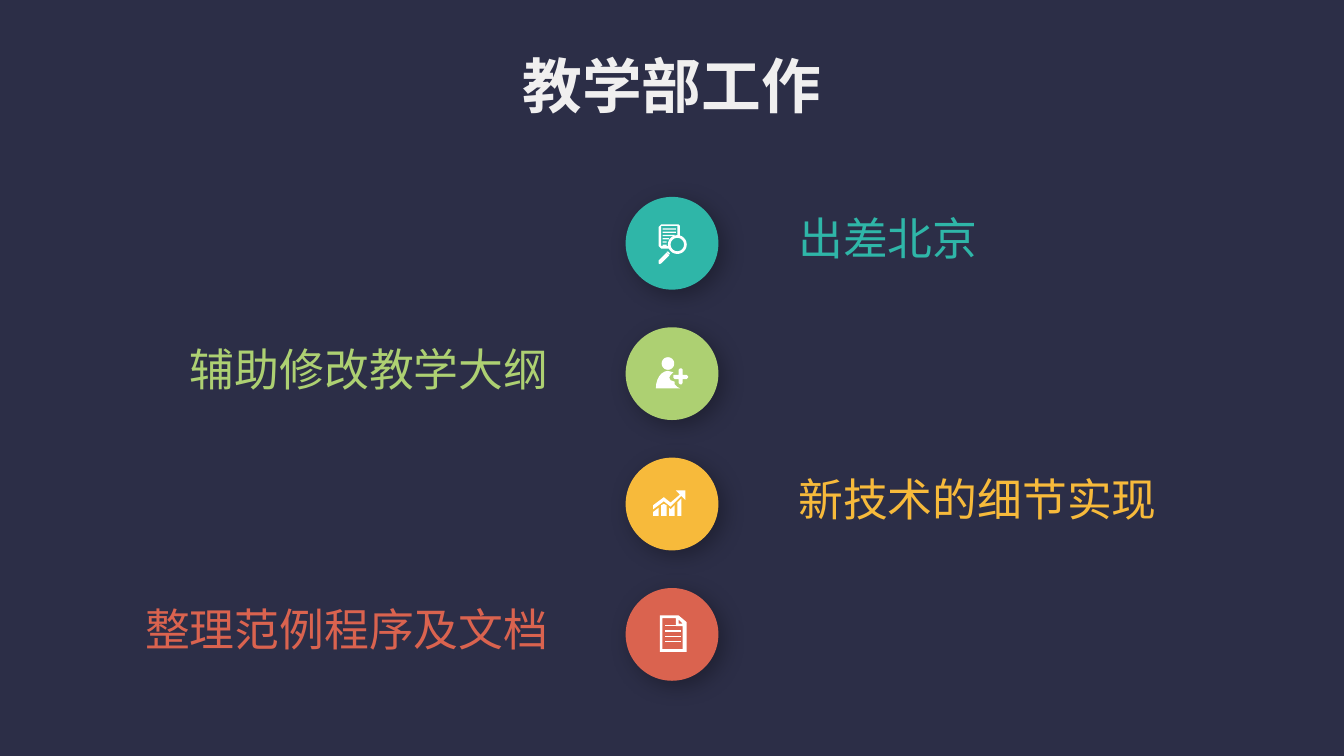
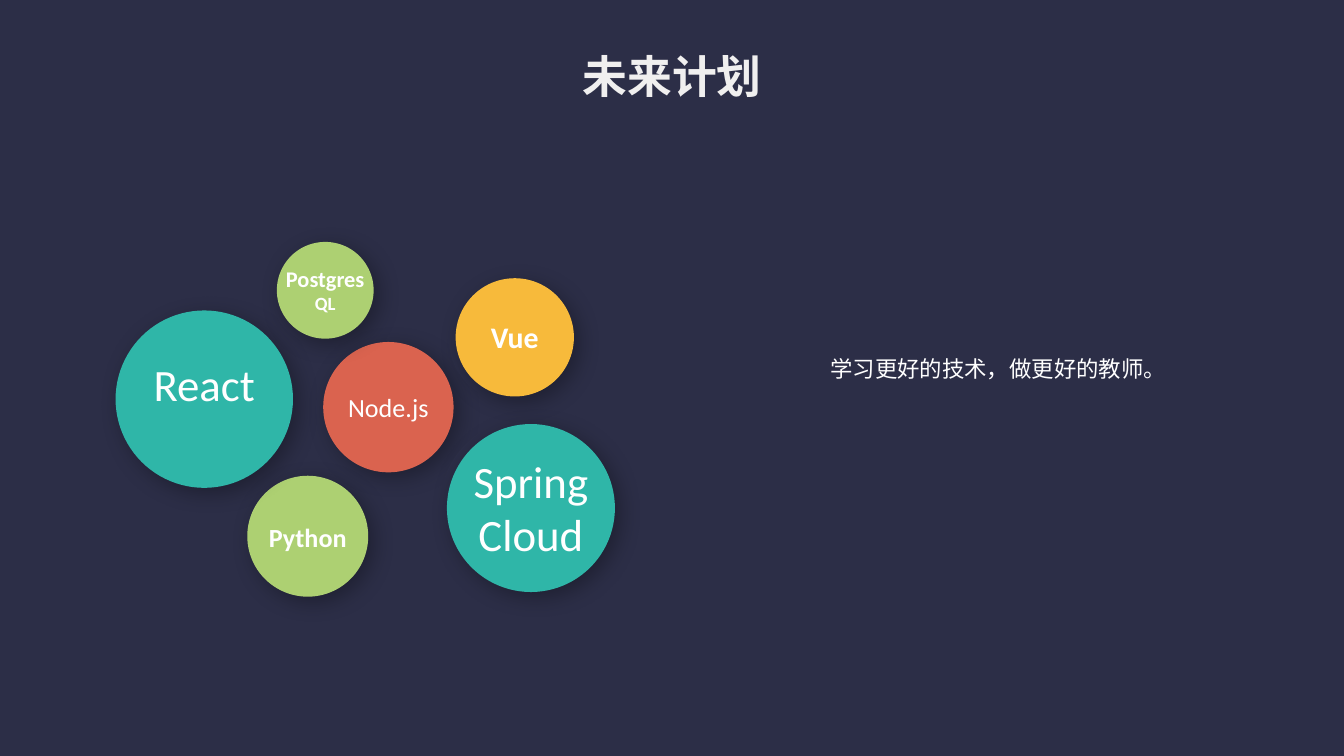
from math import cos, radians, sin

from lxml import etree
from pptx import Presentation
from pptx.dml.color import RGBColor
from pptx.enum.shapes import MSO_SHAPE
from pptx.enum.text import MSO_ANCHOR, PP_ALIGN
from pptx.oxml.ns import qn
from pptx.util import Inches, Pt

OVAL = MSO_SHAPE.OVAL
TOP = MSO_ANCHOR.TOP
LEFT, MID, RIGHT = PP_ALIGN.LEFT, PP_ALIGN.CENTER, PP_ALIGN.RIGHT
WIDE = 10
HIGH = WIDE * 9 / 16


class Theme:
    back, title, white = "2C2E47", "F0EFEF", "FFFFFF"
    teal, green, gold, red = "2FB6A8", "ADD072", "F7BA3B", "DA634F"
    han, latin = "Noto Sans CJK SC", "Calibri"
    head, large, note = 32, 24, 12


# Icon outlines, in hundredths of an inch from the centre of the disc
def arc(x, y, rx, ry, start=0, end=360, step=15):
    return [(x + rx * cos(radians(a)), y + ry * sin(radians(a)))
            for a in range(start, end + 1, step)]


def bar(x, y, w, h=1):
    return [(x, y), (x + w, y), (x + w, y + h), (x, y + h)]


SEARCH = [
    [bar(-7, -11 + 2.4 * i, w) for i, w in enumerate((10, 10, 9, 5, 3, 3))],
    [arc(4, 1, 7, 7), arc(4, 1, 5, 5)],
    [[(-4, 6.5), (-3, 6), (-1.5, 7.5), (-2, 8.5)],
     [(-10, 13), (-4, 7), (-2, 9), (-8, 15), (-9, 15.5), (-10, 15)]],
    [[(-2, 2), (-8, 2), (-8, -13), (4, -13), (4, -5), (6, -5), (6, -13),
      (5, -14), (-8, -14), (-10, -12), (-10, 2), (-8, 4), (-2, 4)]],
]
PERSON = [
    [[(1, 1), (5, 1), (5, -3), (6, -4), (7, -4), (8, -3), (8, 1), (11, 1),
      (12, 2), (12, 3), (11, 4), (8, 4), (8, 7), (7, 8), (6, 8), (5, 7),
      (5, 4), (2, 4), (1, 3)]],
    [arc(-3, -7.5, 4.7, 4.7),
     arc(-3, 11, 9, 13, 180, 270) + [
         (1, -1), (-1, 1), (-2, 3), (-1, 5), (2, 6), (2, 8), (4, 10), (6, 11)]],
]
TREND = [
    [[(-8, 1), (-8, 9), (-4, 9), (-4, 1), (-6, 0)],
     [(-14, 9), (-10, 9), (-10, 3), (-14, 6)],
     [(4, -1), (4, 9), (7, 9), (7, -4)],
     [(-2, 3), (-2, 9), (2, 9), (2, 1), (-1, 4)]],
    [[(10, -10), (3, -10), (6, -7), (-1, -1), (-6, -5), (-14, 1), (-14, 4),
      (-6, -2), (-1, 2), (7, -6), (10, -3)]],
]
PAPER = [
    [[(11, -9), (5, -14), (-9, -14), (-9, 13), (11, 13)],
     [(8, -8), (5, -8), (5, -11)],
     [(8, 11), (-7, 11), (-7, -12), (3, -12), (3, -6), (8, -6)]],
    *[[bar(-5, -7 + 4 * i, 12)] for i in range(4)],
]

# Content
WORK = "教学部工作"
TASKS = [
    ("出差北京", Theme.teal, SEARCH),
    ("辅助修改教学大纲", Theme.green, PERSON),
    ("新技术的细节实现", Theme.gold, TREND),
    ("整理范例程序及文档", Theme.red, PAPER),
]
PLAN = "未来计划"
GOAL = "学习更好的技术，做更好的教师。"
# Lines with sizes, centre x and y, diameter, colour, bold, rise of the label
SKILLS = [
    ([("Python", 14)], 2.29, 3.99, 0.9, Theme.green, True, -0.01),
    ([("React", 24)], 1.52, 2.97, 1.32, Theme.teal, False, 0.11),
    ([("Node.js", 14)], 2.89, 3.03, 0.97, Theme.red, False, 0),
    ([("Spring", 24), ("Cloud", 24)], 3.95, 3.78, 1.25, Theme.teal, False, 0),
    ([("Vue", 16)], 3.83, 2.51, 0.88, Theme.gold, True, 0),
    ([("Postgres", 12), ("QL", 10)], 2.42, 2.16, 0.72, Theme.green, True, 0),
]


# Shared drawing
def paint(shape, color):
    shape.fill.solid()
    shape.fill.fore_color.rgb = RGBColor.from_string(color)
    shape.line.fill.background()
    shape.shadow.inherit = False


def disc(slide, x, y, size, color, shade=True):
    shape = slide.shapes.add_shape(
        OVAL, *map(Inches, (x - size / 2, y - size / 2, size, size)))
    paint(shape, color)
    if shade:
        glow = shape._element.spPr.find(qn("a:effectLst"))
        drop = etree.SubElement(
            glow, qn("a:outerShdw"), blurRad=str(Pt(12)), dist=str(Pt(4)),
            dir=str(45 * 60000), algn="tl", rotWithShape="0")
        tint = etree.SubElement(drop, qn("a:srgbClr"), val="000000")
        etree.SubElement(tint, qn("a:alpha"), val="30000")


def icon(slide, x, y, parts):
    for part in parts:
        loops = [[(Inches(x + u / 100), Inches(y + v / 100)) for u, v in loop]
                 for loop in part]
        pen = slide.shapes.build_freeform(*loops[0][0])
        pen.add_line_segments(loops[0][1:])
        for loop in loops[1:]:
            pen.move_to(*loop[0])
            pen.add_line_segments(loop[1:])
        paint(pen.convert_to_shape(), Theme.white)


def write(shape, lines, color, font, bold=False, align=LEFT, space=None):
    frame = shape.text_frame
    frame.text = "\n".join(text for text, size in lines)
    frame.vertical_anchor = TOP
    for para, (text, size) in zip(frame.paragraphs, lines):
        para.alignment = align
        para.line_spacing = space
        for run in para.runs:
            face = run.font
            face.size, face.bold, face.name = Pt(size), bold, font
            face.color.rgb = RGBColor.from_string(color)
            east = etree.Element(qn("a:ea"), typeface=font)
            run._r.rPr.find(qn("a:latin")).addnext(east)


def label(slide, box, lines, color, font, inset=True, **style):
    shape = slide.shapes.add_textbox(*map(Inches, box))
    frame = shape.text_frame
    frame.word_wrap = True
    if not inset:
        frame.margin_left = frame.margin_right = 0
        frame.margin_top = frame.margin_bottom = 0
    write(shape, lines, color, font, **style)


def start(deck, text, size):
    slide = deck.slides.add_slide(deck.slide_layouts[5])
    shape = slide.shapes.title
    wide = len(text) * size / 72 + 0.2
    box = ((WIDE - wide) / 2, 0.31, wide, 0.08 + 0.0175 * size)
    shape.left, shape.top, shape.width, shape.height = map(Inches, box)
    frame = shape.text_frame
    frame.word_wrap = False
    frame.margin_left = frame.margin_right = 0
    write(shape, [(text, size)], Theme.title, Theme.han, True, MID, 1)
    return slide


# Tasks alternate right and left of a column of discs
def tasks(deck):
    slide = start(deck, WORK, Theme.head)
    mid, top, step, wide = WIDE / 2, 1.81, 0.97, 3.23
    sides = [(mid + 0.94, LEFT), (mid - 0.92 - wide, RIGHT)]
    for row, (text, color, parts) in enumerate(TASKS):
        y = top + row * step
        disc(slide, mid, y, 0.69, color)
        icon(slide, mid, y, parts)
        x, align = sides[row % 2]
        label(slide, (x, y - 0.32, wide, 0.48), [(text, Theme.large)], color,
              Theme.han, inset=False, align=align, space=1.2)


# Skills are bubbles with a rim that hides the shadows behind
def skills(deck):
    slide = start(deck, PLAN, Theme.large)
    for lines, x, y, size, color, *rest in SKILLS:
        disc(slide, x, y, size + 0.11, Theme.back, shade=False)
        disc(slide, x, y, size, color)
    for lines, x, y, size, color, bold, rise in SKILLS:
        inset = lines[0][1] < Theme.large
        wide = 0.81 if inset else 1.04
        high = sum(pts for text, pts in lines) * 1.22 / 72 + 0.1 * inset
        label(slide, (x - wide / 2, y - rise - high / 2, wide, high), lines,
              Theme.white, Theme.latin, inset=inset, bold=bold, align=MID)
    label(slide, (6.08, 2.59, 2.6, 0.3), [(GOAL, Theme.note)],
          Theme.white, Theme.han)


def main():
    deck = Presentation()
    deck.slide_width, deck.slide_height = Inches(WIDE), Inches(HIGH)
    fill = deck.slide_master.background.fill
    fill.solid()
    fill.fore_color.rgb = RGBColor.from_string(Theme.back)
    tasks(deck)
    skills(deck)
    deck.save("out.pptx")


if __name__ == "__main__":
    main()
